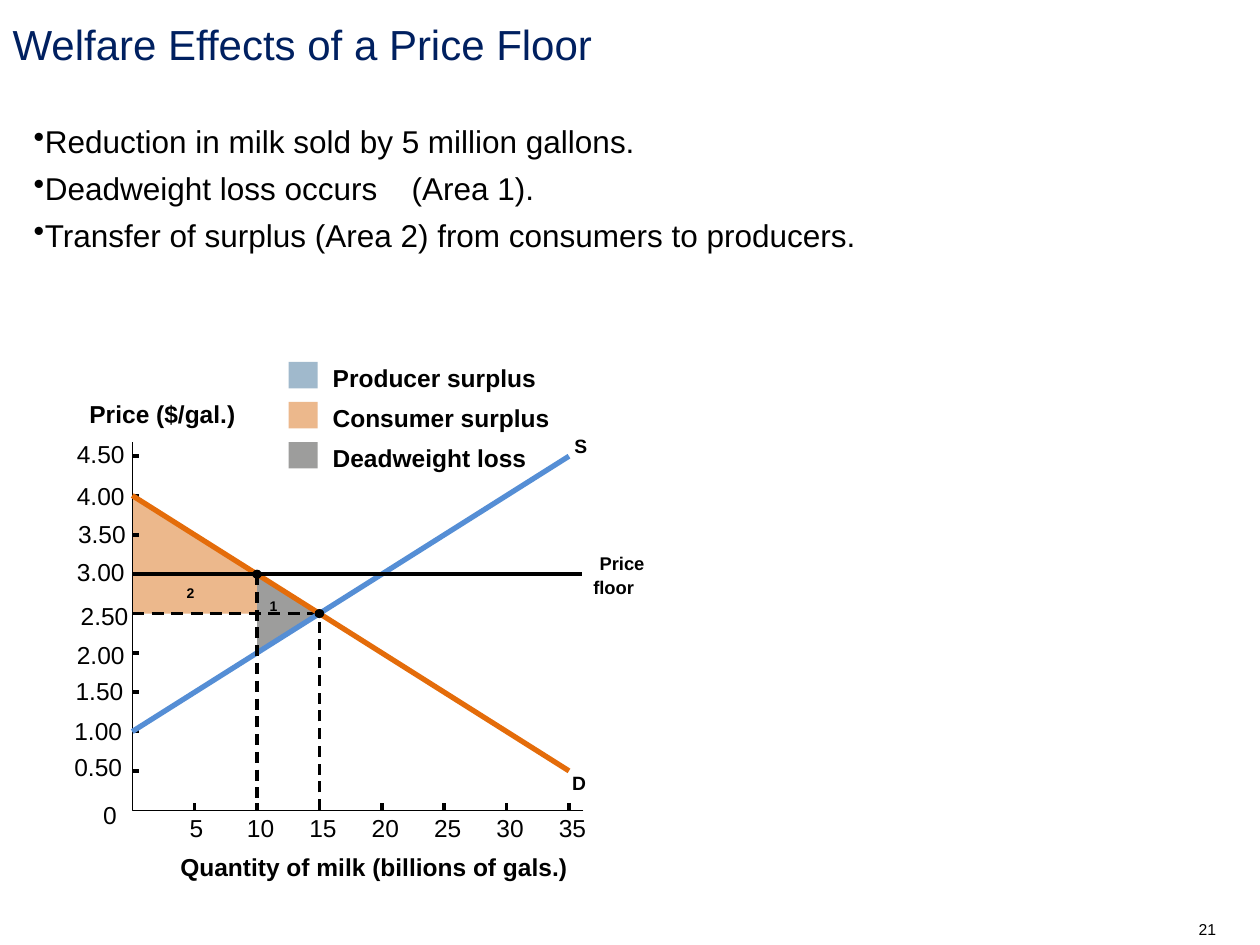
from dataclasses import dataclass

from lxml.etree import SubElement
from pptx import Presentation
from pptx.dml.color import RGBColor
from pptx.enum.shapes import MSO_CONNECTOR as Conn, MSO_SHAPE as Shp
from pptx.enum.text import MSO_ANCHOR as Anchor, MSO_AUTO_SIZE as Auto, PP_ALIGN as Align
from pptx.oxml.ns import qn
from pptx.util import Pt

BLACK, WHITE, NAVY = "000000", "FFFFFF", "002060"
PRODUCER, CONSUMER, LOSS = "A0B9CC", "ECB88C", "9D9D9C"
SUPPLY, DEMAND = "558ED5", "E46C0A"


@dataclass
class Label:
    text: str
    left: float
    top: float
    width: float
    height: float = 17.3
    size: float = 14
    bold: bool = False


@dataclass
class Stroke:
    x1: float
    y1: float
    x2: float
    y2: float
    color: str = BLACK
    width: float = 0


def rgb(value: str) -> RGBColor:
    return RGBColor.from_string(value)


def set_all(obj, values: dict) -> None:
    for name, value in values.items():
        setattr(obj, name, value)


def format_font(font, size: float, color: str = BLACK, bold: bool = False) -> None:
    set_all(font, {"name": "Arial", "size": Pt(size), "bold": bold})
    font.color.rgb = rgb(color)


def qx(quantity: float) -> float:
    return 75.6 + 7.13 * quantity


def py(price: float) -> float:
    return 463 - 44.96 * price


def add_label(s, label: Label) -> None:
    sp = s.shapes.add_textbox(*map(Pt, (label.left, label.top, label.width, label.height)))
    tf = sp.text_frame
    set_all(tf, {"margin_left": 0, "margin_right": 0, "margin_top": 0, "margin_bottom": 0,
                 "word_wrap": False, "auto_size": Auto.SHAPE_TO_FIT_TEXT})
    r = tf.paragraphs[0].add_run()
    r.text = label.text
    format_font(r.font, label.size, bold=label.bold)


def add_stroke(s, stroke: Stroke) -> None:
    cx = s.shapes.add_connector(
        Conn.STRAIGHT, *map(Pt, (stroke.x1, stroke.y1, stroke.x2, stroke.y2)))
    cx.line.width = Pt(stroke.width)
    cx.line.color.rgb = rgb(stroke.color)
    SubElement(cx._element.spPr, qn("a:effectLst"))


def add_dashes(s, x1: float, y1: float, x2: float, y2: float, step: float, dash: float) -> None:
    length = abs(x2 - x1) + abs(y2 - y1)
    ux, uy = (x2 - x1) / length, (y2 - y1) / length
    for i in range(int(length / step) + 1):
        a, b = i * step, min(i * step + dash, length)
        add_stroke(s, Stroke(x1 + ux * a, y1 + uy * a, x1 + ux * b, y1 + uy * b))


def add_solid(s, kind, left: float, top: float, width: float, height: float, color: str):
    sp = s.shapes.add_shape(kind, *map(Pt, (left, top, width, height)))
    sp.shadow.inherit = False
    sp.fill.solid()
    sp.fill.fore_color.rgb = rgb(color)
    sp.line.fill.background()
    return sp


def add_outline(s, points: list, closed: bool):
    first, *rest = [(Pt(x), Pt(y)) for x, y in points]
    fb = s.shapes.build_freeform(*first)
    fb.add_line_segments(rest, close=closed)
    sp = fb.convert_to_shape()
    sp.shadow.inherit = False
    return sp


def add_area(s, points: list, color: str) -> None:
    sp = add_outline(s, points, True)
    sp.fill.solid()
    sp.fill.fore_color.rgb = rgb(color)
    sp.line.fill.background()


def add_page_number(s) -> None:
    sp = add_solid(s, Shp.RECTANGLE, 660, 522, 60, 18, WHITE)
    sp.text_frame.vertical_anchor = Anchor.MIDDLE
    p = sp.text_frame.paragraphs[0]
    p.alignment = Align.CENTER
    r = p.add_run()
    r.text = "21"
    format_font(r.font, 9)


def add_title(s) -> None:
    sp = s.shapes.title
    set_all(sp, {"left": Pt(0), "top": Pt(0), "width": Pt(720), "height": Pt(50.4)})
    tf = sp.text_frame
    set_all(tf, {"vertical_anchor": Anchor.MIDDLE, "word_wrap": True, "auto_size": Auto.NONE})
    p = tf.paragraphs[0]
    p.alignment = Align.LEFT
    r = p.add_run()
    r.text = "Welfare Effects of a Price Floor"
    format_font(r.font, 24, NAVY)


def add_bullets(s, lines: list) -> None:
    sp = s.shapes.add_textbox(*map(Pt, (12.2, 66.2, 696, 444)))
    tf = sp.text_frame
    tf.word_wrap = True
    for i, line in enumerate(lines):
        p = tf.add_paragraph() if i else tf.paragraphs[0]
        pPr = p._p.get_or_add_pPr()
        SubElement(pPr, qn("a:buChar"), char="•")
        if "\t" in line:
            tabs = SubElement(pPr, qn("a:tabLst"))
            SubElement(tabs, qn("a:tab"), pos=str(Pt(216)), algn="l")
        p.space_before = Pt(5.2 if i else 0)
        r = p.add_run()
        r.text = line
        format_font(r.font, 18)


def add_axes(s) -> None:
    for i in range(1, 10):
        add_stroke(s, Stroke(qx(0), py(i / 2), qx(0) + 4, py(i / 2)))
    axis = add_outline(s, [(333.4, py(0)), (qx(0), py(0)), (qx(0), 252.7)], False)
    axis.fill.background()
    axis.line.width = Pt(0)
    axis.line.color.rgb = rgb(BLACK)
    add_label(s, Label("0", 59, 457.2, 7.9))
    for q in range(5, 40, 5):
        add_stroke(s, Stroke(qx(q), py(0) - 4, qx(q), py(0)))
        text = str(q)
        add_label(s, Label(text, qx(q) - 2.9 * len(text), 464.4, 7.9 * len(text)))
    places = [(42.5, 429.8), (42.5, 409), (43.2, 386.6), (43.9, 365.8), (46.1, 343.4),
              (43.9, 318.2), (44.6, 296.6), (43.9, 275), (43.9, 250.6)]
    for i, (left, top) in enumerate(places, 1):
        add_label(s, Label(f"{i / 2:.2f}", left, top, 27.4))


def add_legend(s) -> None:
    entries = [("Producer surplus", PRODUCER, 116.6), ("Consumer surplus", CONSUMER, 124.6),
               ("Deadweight loss", LOSS, 110.9)]
    for i, (text, color, width) in enumerate(entries):
        top = 206.8 + 22.9 * i
        add_solid(s, Shp.RECTANGLE, 164.9, top, 16.6, 15.1, color)
        add_label(s, Label(text, 190.1, top + 0.6, width, bold=True))


def main() -> None:
    prs = Presentation()
    prs.slide_width, prs.slide_height = Pt(720), Pt(540)
    s = prs.slides.add_slide(prs.slide_layouts[5])
    add_page_number(s)
    add_title(s)
    add_bullets(s, ["Reduction in milk sold by 5 million gallons.",
                    "Deadweight loss occurs\t(Area 1).",
                    "Transfer of surplus (Area 2) from consumers to producers."])

    add_area(s, [(qx(15), py(2.5)), (qx(0), py(4)), (qx(0), py(2.5))], CONSUMER)
    add_area(s, [(qx(10), py(3)), (qx(10), py(2)), (qx(15), py(2.5))], LOSS)
    add_axes(s)
    add_dashes(s, qx(0), py(2.5), qx(15), py(2.5), 11.1, 6.9)
    add_dashes(s, qx(15), py(0), qx(15), py(2.5), 10.15, 6.3)
    add_stroke(s, Stroke(qx(0), py(4), qx(35), py(0.5), DEMAND, 3))
    add_legend(s)
    add_stroke(s, Stroke(qx(0), py(1), qx(35), py(4.5), SUPPLY, 3))
    add_dashes(s, qx(10), py(3), qx(10), py(0), 10.15, 6.3)
    add_stroke(s, Stroke(qx(0), py(3), 332.6, py(3)))
    for q, price in [(15, 2.5), (10, 3)]:
        add_solid(s, Shp.OVAL, qx(q) - 2.75, py(price) - 2.6, 5.5, 5.2, BLACK)

    for label in [
        Label("Price ($/gal.)", 51.1, 228.2, 83.5, bold=True),
        Label("Quantity of milk (billions of gals.)", 103, 486.7, 221.8, bold=True),
        Label("S", 328.3, 248.4, 7.2, 13.7, 11, True),
        Label("D", 326.9, 440.6, 7.9, 13.7, 11, True),
        Label("Price", 342.7, 315.4, 30.2, 14.4, 10.5, True),
        Label("floor", 339.1, 329, 23.8, 13, 10.5, True),
        Label("2", 106.6, 334.1, 11.5, 13.7, 8, True),
        Label("1", 154.1, 341.3, 11.5, 13.7, 8, True),
    ]:
        add_label(s, label)
    prs.save("out.pptx")


if __name__ == "__main__":
    main()
